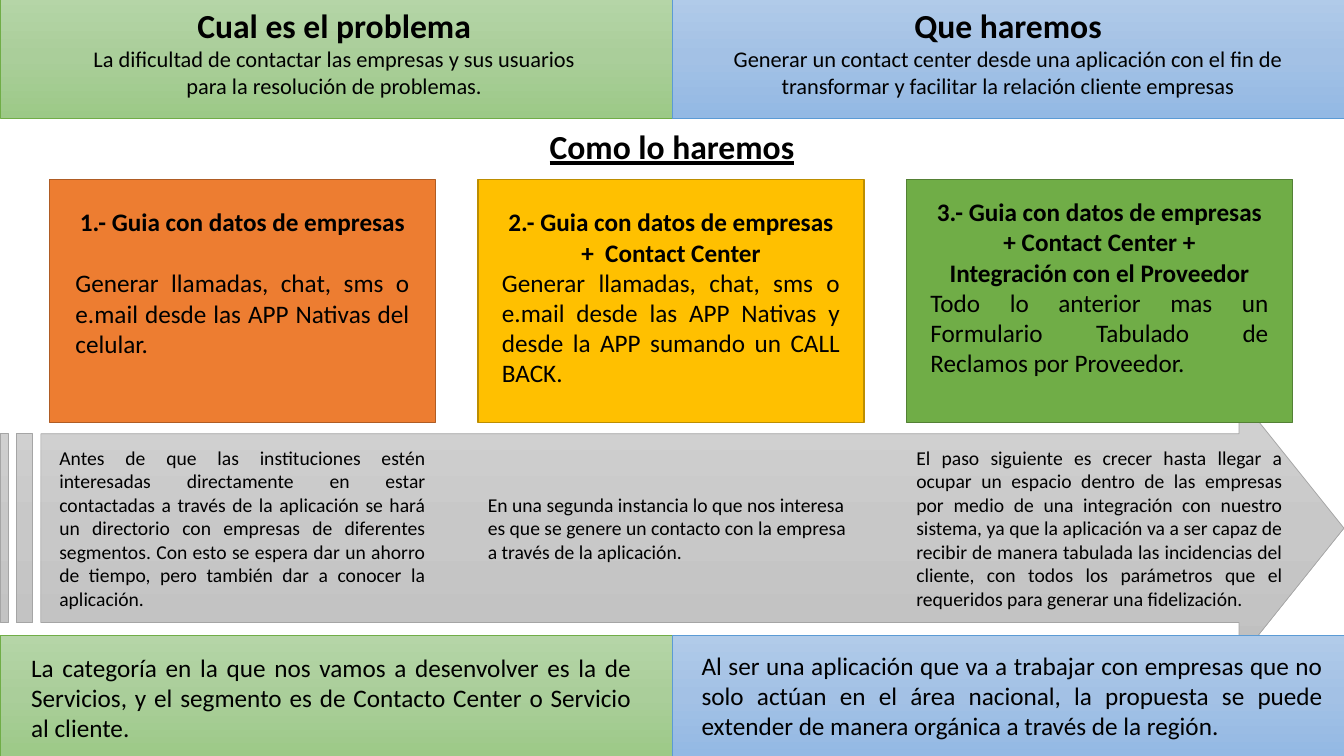
from copy import deepcopy
from dataclasses import dataclass

from pptx import Presentation
from pptx.dml.color import RGBColor
from pptx.enum.shapes import MSO_SHAPE
from pptx.enum.text import MSO_ANCHOR, MSO_AUTO_SIZE, PP_ALIGN
from pptx.oxml.ns import qn
from pptx.util import Inches, Pt

COLORS = {
    "text": "000000",
    "green_line": "70AD47", "blue_line": "5B9BD5", "gray_line": "A5A5A5",
    "orange": "ED7D31", "orange_line": "AF5C24",
    "gold": "FFC000", "gold_line": "BD8E00",
    "leaf": "70AD47", "leaf_line": "538035",
}
GRADIENTS = {
    "green": ("B5D5A7", "AACE9A", "9CC987"),
    "blue": ("B1CBE9", "A3C1E5", "93B9E4"),
    "gray": ("D2D2D2", "C8C8C8", "C0C0C0"),
}
FRAME = {
    "word_wrap": True, "auto_size": MSO_AUTO_SIZE.NONE,
    "vertical_anchor": MSO_ANCHOR.TOP,
    "margin_left": Inches(0.1), "margin_right": Inches(0.1),
    "margin_top": Inches(0.05), "margin_bottom": Inches(0.05),
}
SLIDE_W, SLIDE_H = 13.33, 7.5
HALF_W, BAND_H = SLIDE_W / 2, 1.21
CARD_LEFT, CARD_STEP, CARD_W = 0.49, 4.25, 3.83


@dataclass
class Para:
    text: str
    size: int
    bold: bool = False
    underline: bool = False
    align: PP_ALIGN = PP_ALIGN.CENTER
    before: int = 0


@dataclass
class Box:
    left: float
    top: float
    width: float
    height: float

    def emu(self) -> list:
        return [Inches(v) for v in (self.left, self.top, self.width, self.height)]


@dataclass
class Step:
    color: str
    text_box: Box
    paras: list
    note: str
    note_top: float
    note_height: float
    note_align: PP_ALIGN


def rgb(name: str) -> RGBColor:
    return RGBColor.from_string(COLORS.get(name, name))


def add_panel(slide, kind, box: Box, fill: str, line_pt: float):
    """Draw a preset shape with a plain or three-stop vertical fill."""
    sp = slide.shapes.add_shape(kind, *box.emu())
    sp.shadow.inherit = False
    sp.line.color.rgb = rgb(fill + "_line")
    sp.line.width = Pt(line_pt)
    if fill in GRADIENTS:
        sp.fill.gradient()
        sp.fill.gradient_angle = 270
        stop_list = sp._element.spPr.find(".//" + qn("a:gsLst"))
        stop_list.append(deepcopy(stop_list[-1]))
        for i, (stop, tone) in enumerate(zip(sp.fill.gradient_stops, GRADIENTS[fill])):
            stop.position = i / 2
            stop.color.rgb = rgb(tone)
    else:
        sp.fill.solid()
        sp.fill.fore_color.rgb = rgb(fill)
    return sp


def write(tf, paras: list) -> None:
    for name, value in FRAME.items():
        setattr(tf, name, value)
    for i, para in enumerate(paras):
        p = tf.add_paragraph() if i else tf.paragraphs[0]
        p.alignment = para.align
        p.space_before = Pt(para.before)
        r = p.add_run()
        r.text = para.text
        font = {"name": "Calibri", "size": Pt(para.size),
                "bold": para.bold, "underline": para.underline}
        for name, value in font.items():
            setattr(r.font, name, value)
        r.font.color.rgb = rgb("text")


def add_text(slide, box: Box, paras: list) -> None:
    write(slide.shapes.add_textbox(*box.emu()).text_frame, paras)


def heading(text: str) -> Para:
    return Para(text, 18, bold=True)


def body(text: str, before: int = 0) -> Para:
    return Para(text, 18, align=PP_ALIGN.JUSTIFY, before=before)


STEPS = [
    Step("orange", Box(0.65, 2, 3.51, 1.62),
         [heading("1.- Guia con datos de empresas"),
          body("Generar llamadas, chat, sms o e.mail desde las APP Nativas del celular.",
               before=22)],
         "Antes de que las instituciones estén interesadas directamente en estar "
         "contactadas a través de la aplicación se hará un directorio con empresas de "
         "diferentes segmentos. Con esto se espera dar un ahorro de tiempo, pero también "
         "dar a conocer la aplicación.",
         4.37, 1.75, PP_ALIGN.JUSTIFY),
    Step("gold", Box(4.88, 2, 3.55, 1.92),
         [heading("2.- Guia con datos de empresas +  Contact Center"),
          body("Generar llamadas, chat, sms o e.mail desde las APP Nativas y desde la APP "
               "sumando un CALL BACK.")],
         "En una segunda instancia lo que nos interesa es que se genere un contacto con "
         "la empresa a través de la aplicación.",
         4.84, 0.81, PP_ALIGN.LEFT),
    Step("leaf", Box(9.13, 1.9, 3.55, 1.92),
         [heading("3.- Guia con datos de empresas + Contact Center +"),
          heading("Integración con el Proveedor"),
          body("Todo lo anterior mas un Formulario Tabulado de Reclamos por Proveedor.")],
         "El paso siguiente es crecer hasta llegar a ocupar un espacio dentro de las "
         "empresas por medio de una integración con nuestro sistema, ya que la aplicación "
         "va a ser capaz de recibir de manera tabulada las incidencias del cliente, con "
         "todos los parámetros que el requeridos para generar una fidelización.",
         4.37, 1.75, PP_ALIGN.JUSTIFY),
]
BAND_TEXTS = [
    (Box(0, 0, 6.63, 1.04),
     [Para("Cual es el problema", 24, bold=True),
      Para("La dificultad de contactar las empresas y sus usuarios", 16),
      Para("para la resolución de problemas.", 16)]),
    (Box(HALF_W, 0, HALF_W, 1.04),
     [Para("Que haremos", 24, bold=True),
      Para("Generar un contact center desde una aplicación con el fin de transformar y "
           "facilitar la relación cliente empresas", 16)]),
    (Box(0.21, 6.42, 6.15, 1.01),
     [body("La categoría en la que nos vamos a desenvolver es la de Servicios, y el "
           "segmento es de Contacto Center o Servicio al cliente.")]),
    (Box(6.86, 6.4, 6.36, 1.01),
     [body("Al ser una aplicación que va a trabajar con empresas que no solo actúan en el "
           "área nacional, la propuesta se puede extender de manera orgánica a través de "
           "la región.")]),
]

prs = Presentation()
prs.slide_width, prs.slide_height = Inches(SLIDE_W), Inches(SLIDE_H)
slide = prs.slides.add_slide(prs.slide_layouts[5])

# Title
title = slide.shapes.title
title.left, title.top, title.width, title.height = Box(0, 1.2, SLIDE_W, 0.5).emu()
write(title.text_frame, [Para("Como lo haremos", 24, bold=True, underline=True)])

# Progress arrow behind the steps
arrow = add_panel(slide, MSO_SHAPE.STRIPED_RIGHT_ARROW, Box(0, 3.94, SLIDE_W, 2.6), "gray", 0.5)
arrow.adjustments[0], arrow.adjustments[1] = 0.72, 0.4

# Top and bottom bands
for top in (-0.04, 6.3):
    for col, tone in enumerate(("green", "blue")):
        add_panel(slide, MSO_SHAPE.RECTANGLE, Box(col * HALF_W, top, HALF_W, BAND_H), tone, 0.5)
for box, paras in BAND_TEXTS:
    add_text(slide, box, paras)

# Step cards with their notes on the arrow
for i, step in enumerate(STEPS):
    left = CARD_LEFT + i * CARD_STEP
    add_panel(slide, MSO_SHAPE.RECTANGLE, Box(left, 1.78, CARD_W, 2.41), step.color, 1)
    add_text(slide, step.text_box, step.paras)
    add_text(slide, Box(left, step.note_top, CARD_W, step.note_height),
             [Para(step.note, 14, align=step.note_align)])

prs.save("out.pptx")
